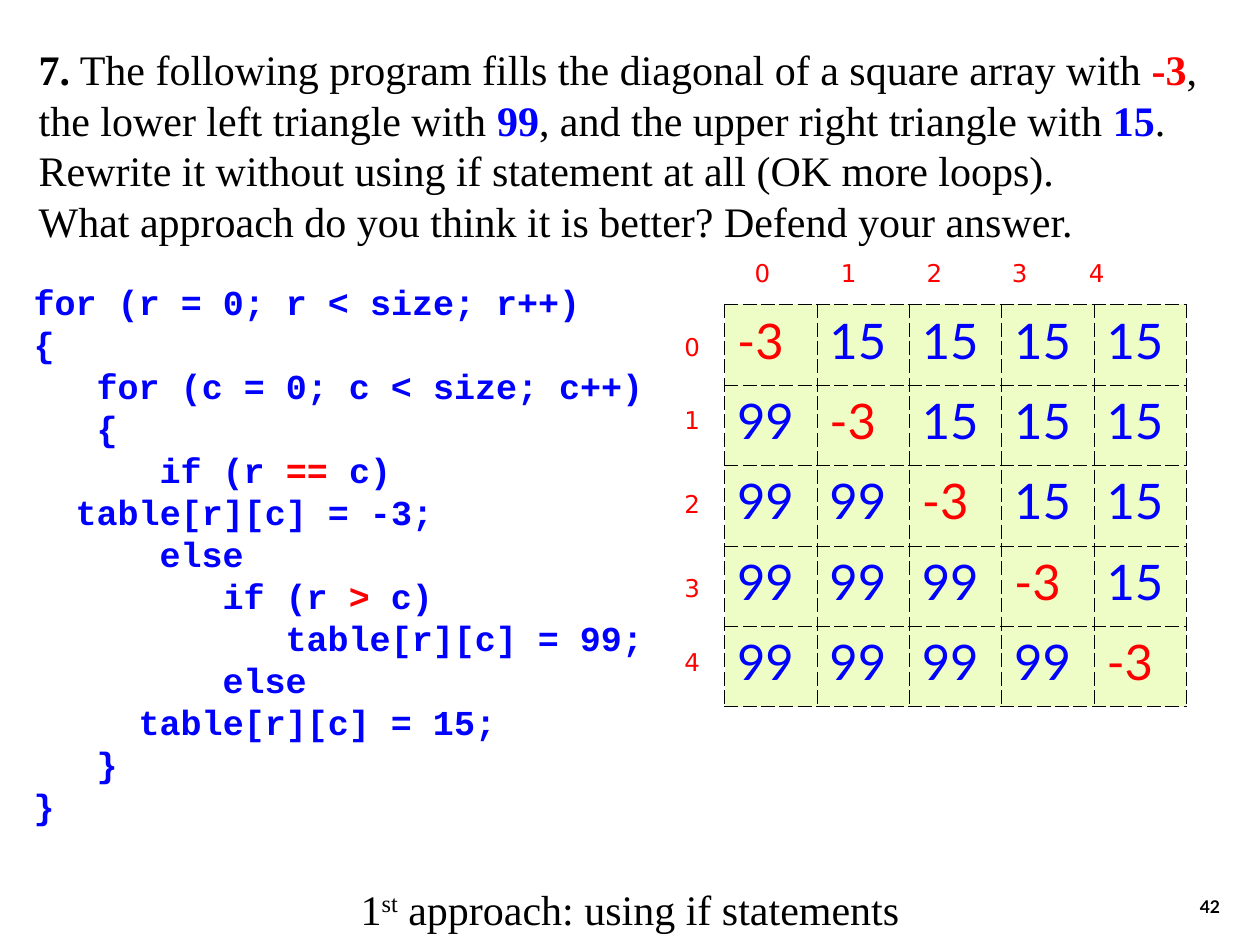
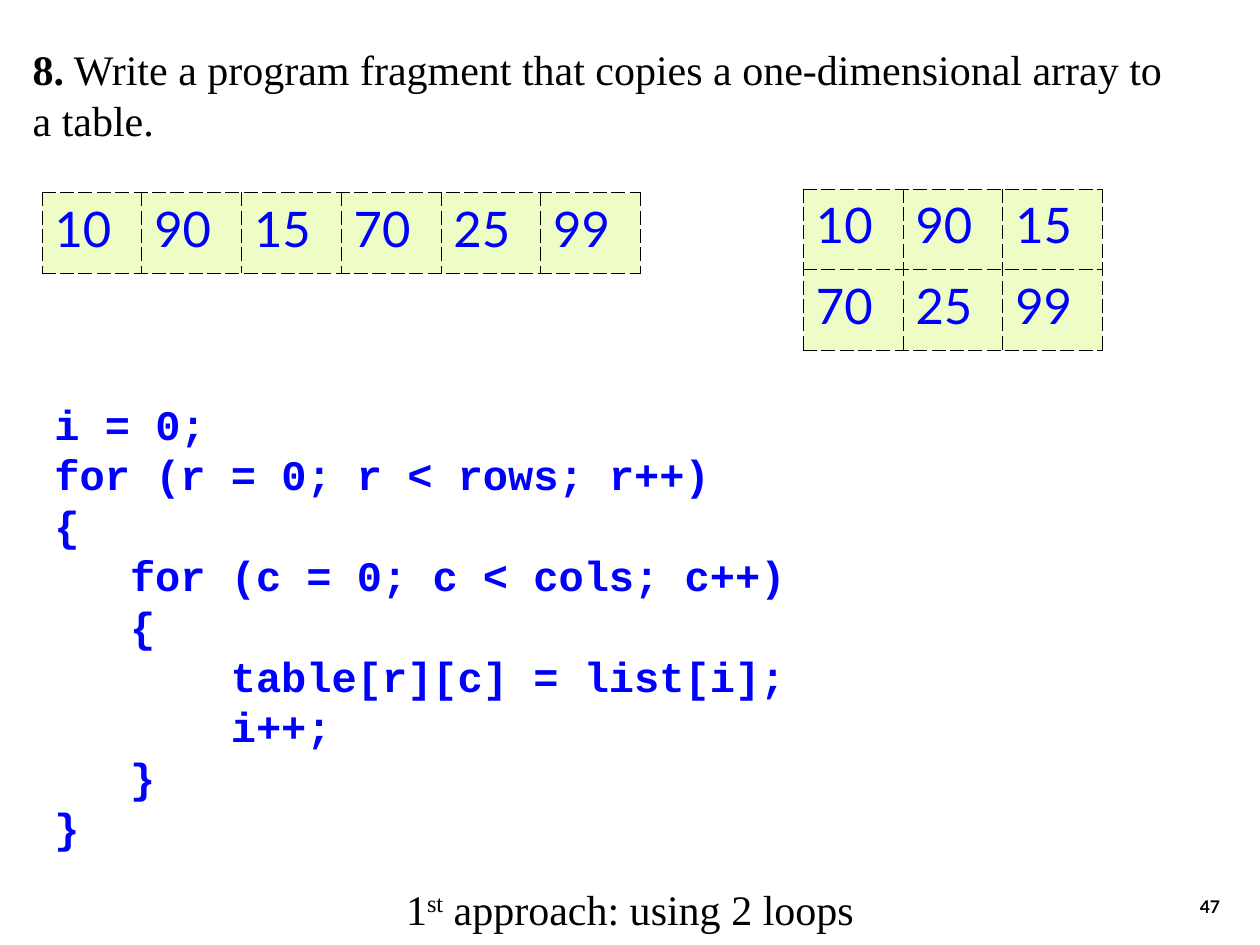
from lxml import etree
from pptx import Presentation
from pptx.dml.color import RGBColor
from pptx.enum.text import MSO_ANCHOR, PP_ALIGN
from pptx.oxml.ns import qn
from pptx.util import Pt

LEFT, CENTER, RIGHT = PP_ALIGN.LEFT, PP_ALIGN.CENTER, PP_ALIGN.RIGHT
TOP, MIDDLE, BOTTOM = MSO_ANCHOR.TOP, MSO_ANCHOR.MIDDLE, MSO_ANCHOR.BOTTOM

COLORS = {"black": "000000", "red": "FF0000", "blue": "0000FF", "cell": "EEFDC5"}
SERIF, MONO, SANS, LABEL = "Times New Roman", "Courier New", "Lato", "DejaVu Sans"
LINE_HEIGHT = 1.2
MONO_CHAR = 0.6      # character width, as a share of the font size
MONO_DROP = 0.09     # lowers code to its baseline, as a share of the font size
CODE_LEAD = 24       # space above the first line of code
ROW_HEIGHT = 46

BOLD = {"bold": True}
RED = {"bold": True, "color": "red"}
BLUE = {"bold": True, "color": "blue"}
SUPER = {"raised": True}

# A paragraph is a list of runs; a run is plain text or (text, format).
FILL_QUESTION = [
    [("7.", BOLD), " The following program fills the diagonal of a square array with ",
     ("-3", RED), ","],
    ["the lower left triangle with ", ("99", BLUE),
     ", and the upper right triangle with ", ("15", BLUE), "."],
    ["Rewrite it without using if statement at all (OK more loops)."],
    ["What approach do you think it is better? Defend your answer."],
]
COPY_QUESTION = [
    [("8.", BOLD), " Write a program fragment that copies a one-dimensional array to"],
    ["a table."],
]

# Code lines: indent in characters, then the runs.
FILL_CODE = [
    (0, ["for (r = 0; r < size; r++)"]),
    (0, ["{"]),
    (3, ["for (c = 0; c < size; c++)"]),
    (3, ["{"]),
    (6, ["if (r ", ("==", RED), " c)"]),
    (2, ["table[r][c] = -3;"]),
    (6, ["else"]),
    (9, ["if (r ", (">", RED), " c)"]),
    (12, ["table[r][c] = 99;"]),
    (9, ["else"]),
    (5, ["table[r][c] = 15;"]),
    (3, ["}"]),
    (0, ["}"]),
]
COPY_CODE = [
    (0, ["i = 0;"]),
    (0, ["for (r = 0; r < rows; r++)"]),
    (0, ["{"]),
    (3, ["for (c = 0; c < cols; c++)"]),
    (3, ["{"]),
    (7, ["table[r][c] = list[i];"]),
    (7, ["i++;"]),
    (3, ["}"]),
    (0, ["}"]),
]

SIZE = 5
FILLED = [[-3 if r == c else 99 if r > c else 15 for c in range(SIZE)]
          for r in range(SIZE)]
COLUMN_STOPS = (22.4, 71.6, 120.6, 169.4, 213.4)
ROW_LABEL_TOPS = (186, 228, 276, 324, 366)
NUMBERS = [10, 90, 15, 70, 25, 99]
COPIED = [NUMBERS[:3], NUMBERS[3:]]


def write(frame, paragraphs, font=SERIF, size=24, color="black", bold=False,
          align=LEFT, before=0, indents=None, stops=()):
    """Fill a text frame; indents holds one left margin per paragraph."""
    for i, runs in enumerate(paragraphs):
        paragraph = frame.paragraphs[0] if i == 0 else frame.add_paragraph()
        paragraph.alignment = align
        paragraph.line_spacing = Pt(size * LINE_HEIGHT)
        paragraph.space_before = Pt(before)
        if indents:
            paragraph._p.get_or_add_pPr().set("marL", str(Pt(indents[i])))
        if stops:
            tab_list = etree.SubElement(paragraph._p.get_or_add_pPr(), qn("a:tabLst"))
            for stop in stops:
                etree.SubElement(tab_list, qn("a:tab"), pos=str(Pt(stop)), algn="l")
        for part in runs:
            text, style = (part, {}) if isinstance(part, str) else part
            run = paragraph.add_run()
            run.text = text
            run.font.name = font
            run.font.size = Pt(size)
            run.font.bold = style.get("bold", bold)
            run.font.color.rgb = RGBColor.from_string(COLORS[style.get("color", color)])
            if style.get("raised"):
                run._r.get_or_add_rPr().set("baseline", "30000")


def add_text(slide, box, paragraphs, anchor=TOP, wrap=True, lead=0, **style):
    """Add a text box; lead is extra space above its first line."""
    frame = slide.shapes.add_textbox(*map(Pt, box)).text_frame
    frame.word_wrap = wrap
    frame.vertical_anchor = anchor
    frame.margin_top = Pt(3.6 + lead)
    write(frame, paragraphs, **style)


def add_code(slide, box, lines, size):
    add_text(slide, box, [runs for _, runs in lines],
             lead=CODE_LEAD + size * MONO_DROP,
             font=MONO, size=size, color="blue", bold=True,
             indents=[chars * size * MONO_CHAR for chars, _ in lines])


def add_border(cell):
    properties = cell._tc.get_or_add_tcPr()
    for side in ("lnL", "lnR", "lnT", "lnB"):
        line = etree.SubElement(properties, qn("a:" + side), w=str(Pt(0.45)))
        fill = etree.SubElement(line, qn("a:solidFill"))
        etree.SubElement(fill, qn("a:srgbClr"), val=COLORS["black"])
        etree.SubElement(line, qn("a:prstDash"), val="dash")


def add_array(slide, left, top, width, values):
    rows, columns = len(values), len(values[0])
    table = slide.shapes.add_table(rows, columns, Pt(left), Pt(top), Pt(width),
                                   Pt(rows * ROW_HEIGHT)).table
    table.first_row = table.horz_banding = False
    for r, row in enumerate(values):
        for c, value in enumerate(row):
            cell = table.cell(r, c)
            add_border(cell)
            cell.fill.solid()
            cell.fill.fore_color.rgb = RGBColor.from_string(COLORS["cell"])
            write(cell.text_frame, [[str(value)]], font=SANS, size=28, before=7,
                  color="red" if value < 0 else "blue")


def add_exercise(deck, number, question, question_box, approach):
    """Add a slide with its page number, question and approach line."""
    slide = deck.slides.add_slide(deck.slide_layouts[6])
    add_text(slide, (554.4, 491.8, 149.8, 36), [[str(number)]], anchor=BOTTOM,
             font=SANS, size=10, bold=True, align=RIGHT)
    add_text(slide, question_box, question, wrap=False)
    add_text(slide, (0, 498.2, 720, 41.8),
             [["1", ("st", SUPER), " approach: " + approach]],
             anchor=MIDDLE, align=CENTER)
    return slide


def main():
    deck = Presentation()
    deck.slide_width, deck.slide_height = Pt(720), Pt(540)
    label = {"font": LABEL, "size": 14, "color": "red"}

    fill = add_exercise(deck, 42, FILL_QUESTION, (15, 21.6, 682.6, 122.4),
                        "using if statements")
    add_code(fill, (12.2, 131, 390, 343.4), FILL_CODE, 20)
    add_text(fill, (401.8, 144, 275.8, 24.5),
             [["".join(f"\t{c}" for c in range(SIZE))]], stops=COLUMN_STOPS, **label)
    for r, top in enumerate(ROW_LABEL_TOPS):
        add_text(fill, (384, top, 24, 24.5), [[str(r)]], **label)
    add_array(fill, 414, 174, 264, FILLED)

    copy = add_exercise(deck, 47, COPY_QUESTION, (11.6, 21.6, 667.4, 64.8),
                        "using 2 loops")
    add_array(copy, 24, 110, 342, [NUMBERS])
    add_array(copy, 459, 108, 171, COPIED)
    add_code(copy, (24, 198, 450, 290.9), COPY_CODE, 24)

    deck.save("out.pptx")


if __name__ == "__main__":
    main()
